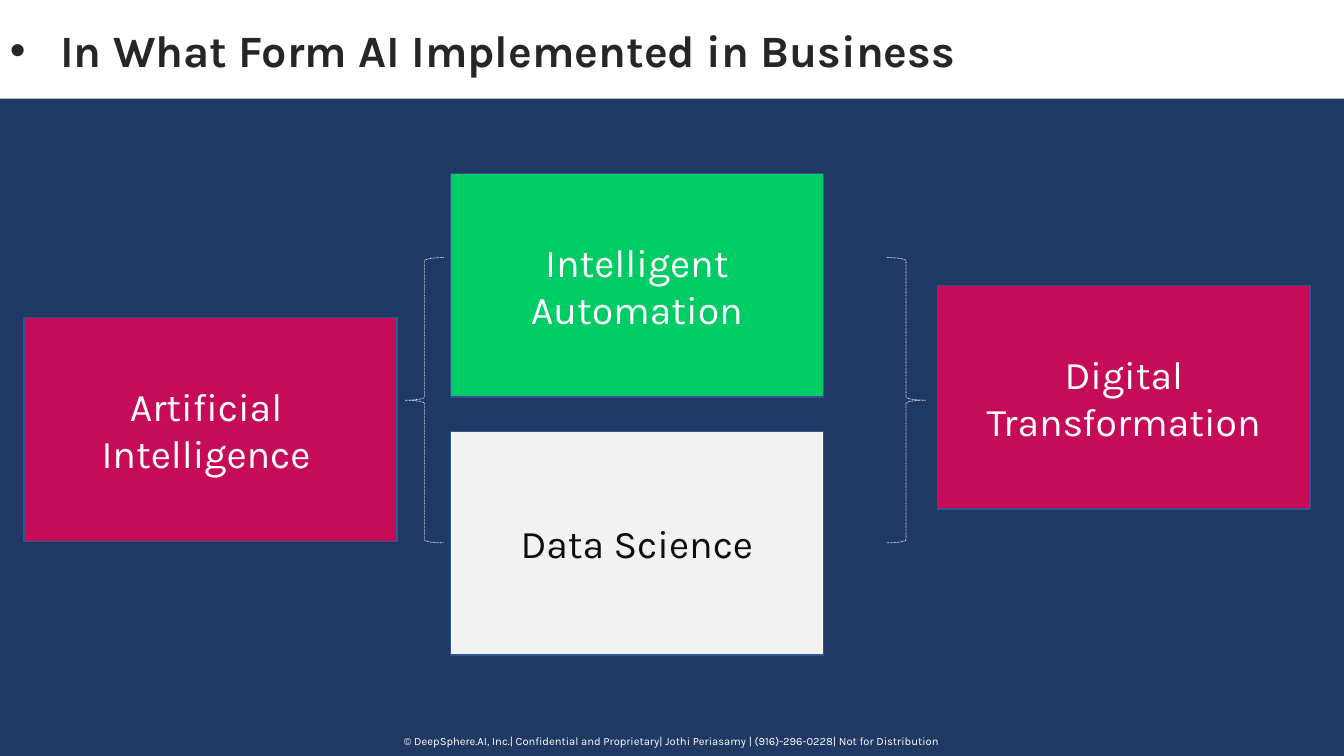
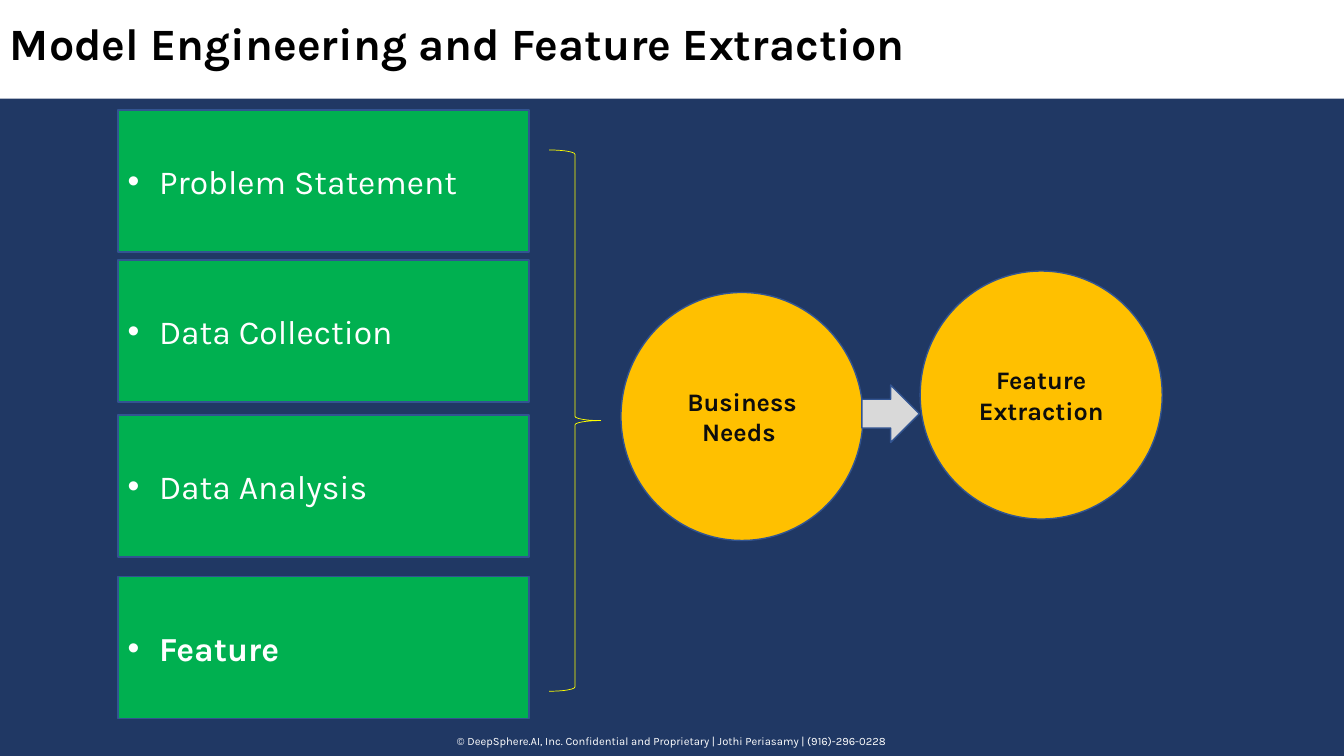
import pptx
import pptx.dml.color
import pptx.enum.dml
import pptx.enum.shapes
import pptx.enum.text
import pptx.oxml
import pptx.oxml.ns
import pptx.util
from dataclasses import dataclass

Cm, Pt = pptx.util.Cm, pptx.util.Pt
Shape = pptx.enum.shapes.MSO_SHAPE
Align = pptx.enum.text.PP_ALIGN
Anchor = pptx.enum.text.MSO_ANCHOR

SLIDE_WIDTH, SLIDE_HEIGHT = 33.87, 19.05
BLANK_LAYOUT = 6


@dataclass(frozen=True)
class Theme:
    font: str = "Karla"
    navy: str = "203864"
    white: str = "FFFFFF"
    black: str = "000000"
    charcoal: str = "262626"
    ink: str = "0D0D0D"
    outline: str = "325491"
    mint: str = "00CC66"
    green: str = "00B050"
    crimson: str = "C60C59"
    amber: str = "FFC000"
    yellow: str = "FFFF00"
    pale: str = "F2F2F2"
    silver: str = "D9D9D9"
    title_size: int = 32
    box_size: int = 28
    step_size: int = 24
    circle_size: int = 18
    footer_size: int = 8


def rgb(color):
    return pptx.dml.color.RGBColor.from_string(color)


def add_bullet(paragraph, indent):
    properties = paragraph._p.get_or_add_pPr()
    properties.set("marL", str(Cm(indent)))
    properties.set("indent", str(-Cm(indent)))
    namespace = pptx.oxml.ns.nsdecls("a")
    for tag in ('buFont {} typeface="Arial"', 'buChar {} char="•"'):
        properties.append(pptx.oxml.parse_xml(f"<a:{tag.format(namespace)}/>"))


class Deck:
    def __init__(self, theme):
        self.theme = theme
        self.presentation = pptx.Presentation()
        self.presentation.slide_width = Cm(SLIDE_WIDTH)
        self.presentation.slide_height = Cm(SLIDE_HEIGHT)
        self.slide = None

    def start_slide(self, title, title_top, title_color, footer, title_indent=0):
        """Add a navy slide with its white title band and footer line."""
        theme = self.theme
        layout = self.presentation.slide_layouts[BLANK_LAYOUT]
        self.slide = self.presentation.slides.add_slide(layout)
        background = self.slide.background.fill
        background.solid()
        background.fore_color.rgb = rgb(theme.navy)
        self.shape(Shape.RECTANGLE, (0, 0, SLIDE_WIDTH, 2.49), theme.white, None)
        self.label((0, title_top, SLIDE_WIDTH, 1.63), title, theme.title_size,
                   title_color, bold=True, align=Align.LEFT, indent=title_indent)
        self.label((0, 18.39, SLIDE_WIDTH, 0.61), footer, theme.footer_size, theme.white)

    def set_text(self, frame, text, size, color, bold=False, align=Align.CENTER, indent=0):
        """Set the text of a frame; an indent above zero gives it bullets."""
        frame.word_wrap = True
        frame.text = text
        for paragraph in frame.paragraphs:
            paragraph.alignment = align
            if indent:
                add_bullet(paragraph, indent)
            for run in paragraph.runs:
                run.font.name = self.theme.font
                run.font.size = Pt(size)
                run.font.bold = bold
                run.font.color.rgb = rgb(color)

    def label(self, box, text, size, color, **style):
        frame = self.slide.shapes.add_textbox(*map(Cm, box)).text_frame
        self.set_text(frame, text, size, color, **style)

    def shape(self, kind, box, fill, line, line_width=1):
        """Add a preset shape; None leaves out its fill or line."""
        shape = self.slide.shapes.add_shape(kind, *map(Cm, box))
        shape.shadow.inherit = False
        if fill:
            shape.fill.solid()
            shape.fill.fore_color.rgb = rgb(fill)
        else:
            shape.fill.background()
        if line:
            shape.line.color.rgb = rgb(line)
            shape.line.width = Pt(line_width)
        else:
            shape.line.fill.background()
        return shape

    def block(self, kind, box, text, fill, size, color, **style):
        """Add an outlined shape with text in its middle."""
        frame = self.shape(kind, box, fill, self.theme.outline).text_frame
        frame.vertical_anchor = Anchor.MIDDLE
        self.set_text(frame, text, size, color, **style)

    def brace(self, box, color, dotted=False, rotation=0):
        brace = self.shape(Shape.RIGHT_BRACE, box, None, color, 0.5)
        brace.rotation = rotation
        if dotted:
            brace.line.dash_style = pptx.enum.dml.MSO_LINE.ROUND_DOT


def build_business_forms(deck):
    theme = deck.theme
    deck.start_slide(
        "In What Form AI Implemented in Business", 0.46, theme.charcoal,
        "© DeepSphere.AI, Inc.| Confidential and Proprietary| Jothi Periasamy"
        " | (916)-296-0228| Not for Distribution", title_indent=1.27)
    for left, top, text, fill, color in (
        (11.35, 4.37, "Intelligent Automation", theme.mint, theme.white),
        (11.35, 10.87, "Data Science", theme.pale, theme.ink),
        (23.62, 7.19, "Digital Transformation", theme.crimson, theme.white),
        (0.61, 8, "Artificial \nIntelligence ", theme.crimson, theme.white),
    ):
        deck.block(Shape.RECTANGLE, (left, top, 9.4, 5.64), text, fill,
                   theme.box_size, color)
    for left, rotation in ((10.21, 180), (22.35, 0)):
        deck.brace((left, 6.49, 0.97, 7.19), theme.white, True, rotation)


def build_feature_extraction(deck):
    theme = deck.theme
    deck.start_slide(
        "Model Engineering and Feature Extraction", 0.28, theme.black,
        "© DeepSphere.AI, Inc. Confidential and Proprietary | Jothi Periasamy"
        " | (916)-296-0228")
    for top, step, bold in (
        (2.77, "Problem Statement", False),
        (6.55, "Data Collection", False),
        (10.46, "Data Analysis", False),
        (14.53, "Feature", True),
    ):
        deck.block(Shape.RECTANGLE, (2.97, top, 10.36, 3.58), step, theme.green,
                   theme.step_size, theme.white, bold=bold, align=Align.LEFT, indent=0.79)
    deck.brace((13.84, 3.78, 1.3, 13.64), theme.yellow)
    for left, top, text in (
        (15.65, 7.37, "Business Needs "),
        (23.19, 6.83, "Feature Extraction"),
    ):
        deck.block(Shape.OVAL, (left, top, 6.1, 6.25), text, theme.amber,
                   theme.circle_size, theme.ink, bold=True)
    deck.shape(Shape.RIGHT_ARROW, (21.72, 9.7, 1.45, 1.45), theme.silver, theme.outline)


def main():
    deck = Deck(Theme())
    build_business_forms(deck)
    build_feature_extraction(deck)
    deck.presentation.save("out.pptx")


if __name__ == "__main__":
    main()
